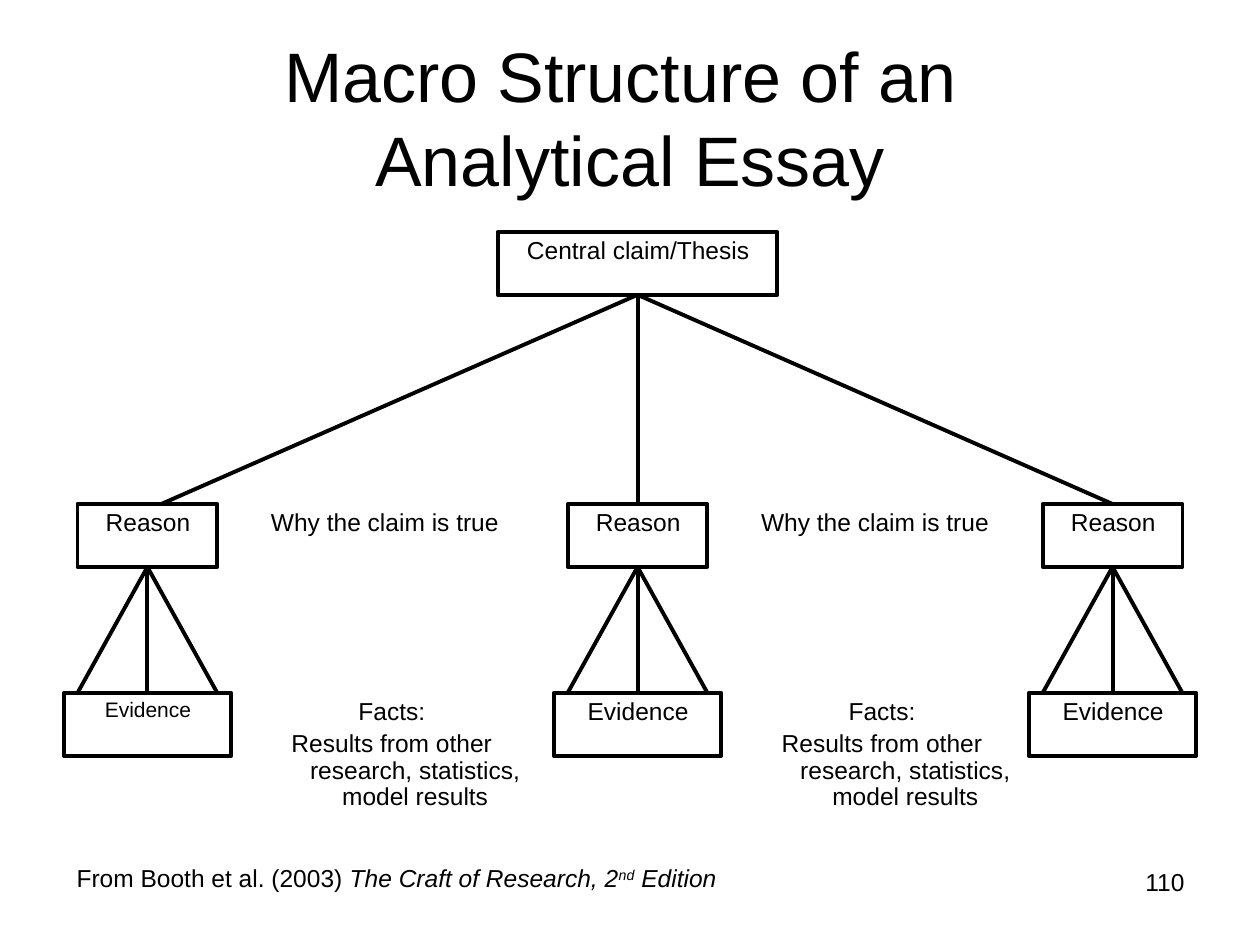
import pptx
import pptx.util
import pptx.dml.color
import pptx.enum.shapes
import pptx.enum.text
import lxml.etree
from dataclasses import dataclass

Inches, Pt = pptx.util.Inches, pptx.util.Pt
Align = pptx.enum.text.PP_ALIGN
Anchor = pptx.enum.text.MSO_ANCHOR


@dataclass(frozen=True)
class Theme:
    ink = pptx.dml.color.RGBColor(0, 0, 0)
    paper = pptx.dml.color.RGBColor(255, 255, 255)
    font = "Arial"
    title = 40
    body = 14
    small = 12
    line = 2.25


theme = Theme()
deck = pptx.Presentation()
deck.slide_width, deck.slide_height = Inches(10), Inches(7.5)
slide = deck.slides.add_slide(deck.slide_layouts[6])
shapes = slide.shapes


def add_text(x, y, w, h, paras, size=theme.body, align=Align.CENTER,
             kind="text", hang=True):
    """Add a text box, a plain rectangle or a framed one; runs are (text, italic, raised)."""
    place = [Inches(v) for v in (x, y, w, h)]
    if kind == "text":
        shape = shapes.add_textbox(*place)
    else:
        shape = shapes.add_shape(pptx.enum.shapes.MSO_SHAPE.RECTANGLE, *place)
        shape.shadow.inherit = False
        shape.fill.solid()
        shape.fill.fore_color.rgb = theme.paper
        if kind == "frame":
            shape.line.color.rgb = theme.ink
            shape.line.width = Pt(theme.line)
        else:
            shape.line.fill.background()
    frame = shape.text_frame
    frame.word_wrap = True
    frame.vertical_anchor = Anchor.TOP
    for i, runs in enumerate(paras):
        para = frame.paragraphs[0] if i == 0 else frame.add_paragraph()
        para.alignment = align
        if hang:
            para.line_spacing = 0.9
            para.space_before = Pt(size / 4)
            props = para._p.get_or_add_pPr()
            props.set("marL", str(Inches(0.38)))
            props.set("indent", str(Inches(-0.37)))
        for words, italic, raised in runs:
            if words == "\n":
                para.add_line_break()
                continue
            run = para.add_run()
            run.text = words
            run.font.name = theme.font
            run.font.size = Pt(size)
            run.font.color.rgb = theme.ink
            run.font.italic = italic
            if raised:
                run.font._element.set("baseline", "30000")
    return shape


def add_line(x1, y1, x2, y2, start, end=None):
    """Draw a line from the bottom of start, joined to the top of end if given."""
    line = shapes.add_connector(pptx.enum.shapes.MSO_CONNECTOR.STRAIGHT,
                                *[Inches(v) for v in (x1, y1, x2, y2)])
    line.line.color.rgb = theme.ink
    line.line.width = Pt(theme.line)
    lxml.etree.SubElement(line._element.spPr, pptx.oxml.ns.qn("a:effectLst"))
    line.begin_connect(start, 2)
    if end is not None:
        end_side = 0
        line.end_connect(end, end_side)


def plain(words):
    return [(words, None, False)]


# Title and page number
title = add_text(0.5, 0.3, 9, 1.25,
                 [plain("Macro Structure of an ") + plain("\n") + plain("Analytical Essay")],
                 theme.title, hang=False)
title.text_frame.vertical_anchor = Anchor.MIDDLE
add_text(7.17, 6.83, 2.33, 0.52, [plain("110")], align=Align.RIGHT, hang=False)

# Thesis at the top of the tree
mid, top, high = 5.06, 1.84, 0.5
thesis = add_text(mid - 1.11, top, 2.22, high, [plain("Central claim/Thesis")], kind="frame")

# Three branches: reason, evidence and the lines between them
row, base = 4, 5.5
half, wide = 0.555, 1.33
for x, size in ((1.17, theme.small), (mid, theme.body), (8.83, theme.body)):
    reason = add_text(x - half, row, 2 * half, high, [plain("Reason")], kind="frame")
    proof = add_text(x - wide / 2, base, wide, high, [plain("Evidence")], size, kind="frame")
    if x < mid:  # the left branch meets its box right of the middle
        add_line(mid, top + high, 1.28, row, thesis)
    else:
        add_line(mid, top + high, x, row, thesis, reason)
    add_line(x, row + high, x, base, reason, proof)
    for side in (-half, half):
        add_line(x, row + high, x + side, base, reason)

# Notes between the branches
for x in (1.94, 5.83):
    add_text(x, row, 2.22, high, [plain("Why the claim is true")], kind="plain")
    add_text(x - 0.11, base, 2.55, 1.33,
             [plain("Facts:"),
              plain("Results from other research, statistics, model results")])

# Source line
add_text(0.5, 6.83, 5.66, high,
         [[("From Booth et al. (2003) ", None, False),
           ("The Craft of Research, 2", True, False),
           ("nd", True, True),
           (" Edition", True, False)]],
         align=Align.LEFT, kind="plain")

deck.save("out.pptx")
